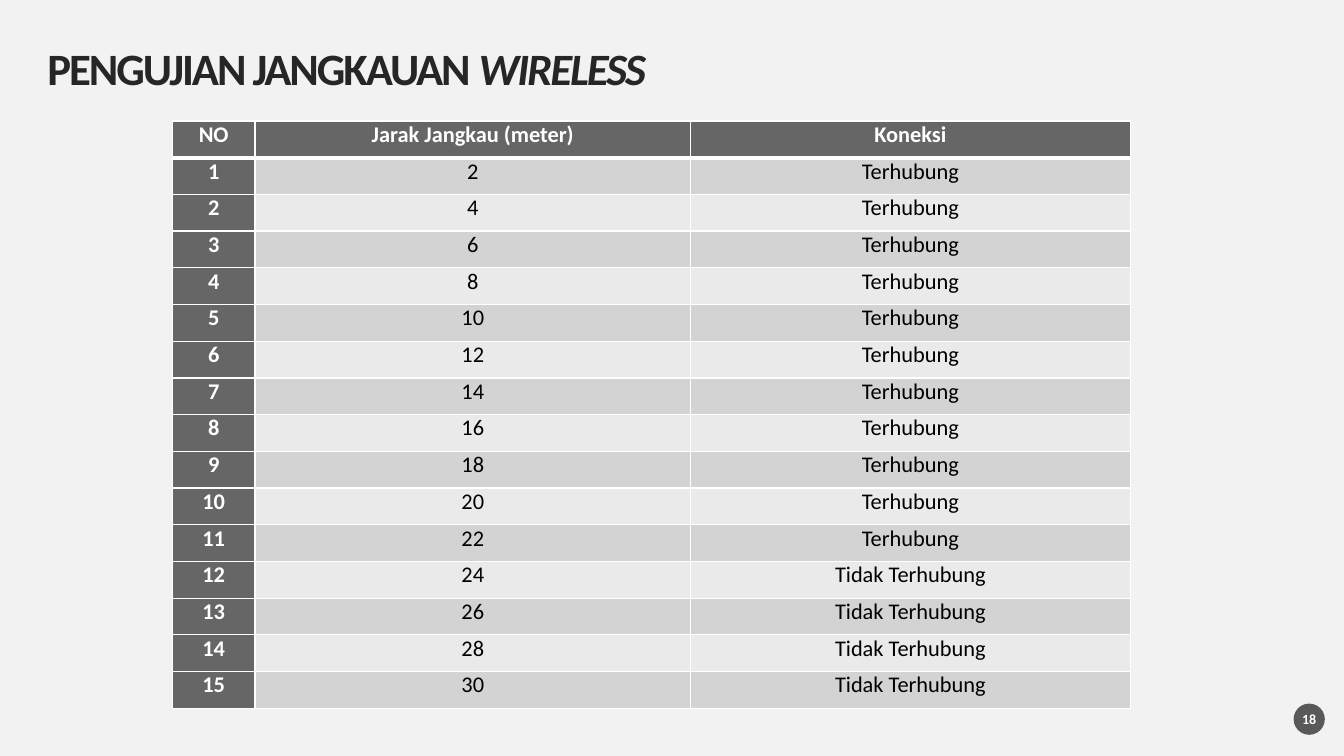
from lxml import etree
from pptx import Presentation
from pptx import util as u
from pptx.dml.color import RGBColor
from pptx.enum import shapes, text
from pptx.oxml import ns

COLORS = {
    "background": "F2F2F2",
    "title": "262626",
    "badge": "595959",
    "header": "666666",
    "odd_row": "D3D3D3",
    "even_row": "EAEAEA",
    "white": "FFFFFF",
    "black": "000000",
}
TEST_COUNT = 15
LAST_CONNECTED = 11


class SlideBuilder:
    PX = 9144
    FONT = "Calibri"

    def __init__(self, presentation, width, height):
        presentation.slide_width = self.px(width)
        presentation.slide_height = self.px(height)
        self.slide = presentation.slides.add_slide(presentation.slide_layouts[5])
        self.paint(self.slide.background.fill, "background")

    def px(self, length):
        return u.Emu(round(length * self.PX))

    def paint(self, fill, color):
        fill.solid()
        fill.fore_color.rgb = RGBColor.from_string(COLORS[color])

    def style_run(self, run, size, color, bold=True):
        run.font.name = self.FONT
        run.font.size = u.Pt(size)
        run.font.bold = bold
        run.font.color.rgb = RGBColor.from_string(COLORS[color])

    def set_frame(self, frame):
        frame.margin_left = frame.margin_right = 0
        frame.margin_top = frame.margin_bottom = 0
        frame.vertical_anchor = text.MSO_ANCHOR.MIDDLE
        frame.auto_size = text.MSO_AUTO_SIZE.NONE
        frame.word_wrap = True

    def title(self, plain, emphasis, left, top, width, height):
        shape = self.slide.shapes.title
        shape.left, shape.top = self.px(left), self.px(top)
        shape.width, shape.height = self.px(width), self.px(height)
        self.set_frame(shape.text_frame)
        paragraph = shape.text_frame.paragraphs[0]
        paragraph.alignment = text.PP_ALIGN.LEFT
        paragraph.line_spacing = 0.9
        for words, italic in ((plain, False), (emphasis, True)):
            run = paragraph.add_run()
            run.text = words
            self.style_run(run, 32, "title")
            run.font.italic = italic
            run.font._element.set("spc", "-150")

    def badge(self, label, left, top, size):
        shape = self.slide.shapes.add_shape(
            shapes.MSO_SHAPE.OVAL,
            self.px(left), self.px(top), self.px(size), self.px(size))
        shape.shadow.inherit = False
        self.paint(shape.fill, "badge")
        shape.line.fill.background()
        self.set_frame(shape.text_frame)
        shape.text_frame.text = label
        paragraph = shape.text_frame.paragraphs[0]
        paragraph.alignment = text.PP_ALIGN.CENTER
        self.style_run(paragraph.runs[0], 10, "white")

    def borders(self, cell, row):
        properties = cell._tc.get_or_add_tcPr()
        widths = {
            "lnL": 1,
            "lnR": 1,
            "lnT": 3 if row == 1 else 1,
            "lnB": 3 if row == 0 else 1,
        }
        for side, width in widths.items():
            line = etree.SubElement(
                properties, ns.qn(f"a:{side}"), w=str(u.Pt(width)))
            fill = etree.SubElement(line, ns.qn("a:solidFill"))
            etree.SubElement(fill, ns.qn("a:srgbClr"), val=COLORS["white"])

    def cell(self, cell, words, row, column):
        heading = row == 0 or column == 0
        self.borders(cell, row)
        band = "odd_row" if row % 2 else "even_row"
        self.paint(cell.fill, "header" if heading else band)
        cell.margin_left = cell.margin_right = self.px(7)
        cell.margin_top = cell.margin_bottom = 0
        cell.text_frame.text = words
        paragraph = cell.text_frame.paragraphs[0]
        paragraph.alignment = text.PP_ALIGN.CENTER
        self.style_run(
            paragraph.runs[0], 16, "white" if heading else "black", heading)

    def table(self, rows, column_widths, left, top, height):
        table = self.slide.shapes.add_table(
            len(rows), len(column_widths), self.px(left), self.px(top),
            self.px(sum(column_widths)), self.px(height)).table
        for column, width in zip(table.columns, column_widths):
            column.width = self.px(width)
        for row_index, values in enumerate(rows):
            table.rows[row_index].height = self.px(height / len(rows))
            for column_index, words in enumerate(values):
                self.cell(table.cell(row_index, column_index), words,
                          row_index, column_index)


def main():
    presentation = Presentation()
    builder = SlideBuilder(presentation, 1333, 750)
    builder.title("PENGUJIAN JANGKAUAN", " WIRELESS", 47, 47, 1239, 47)
    builder.badge("18", 1283, 698, 31)
    rows = [("NO", "Jarak Jangkau (meter)", "Koneksi")]
    for number in range(1, TEST_COUNT + 1):
        connected = number <= LAST_CONNECTED
        rows.append((str(number), str(2 * number),
                     "Terhubung" if connected else "Tidak Terhubung"))
    builder.table(rows, (82, 432, 436), 171, 120, 583)
    presentation.save("out.pptx")


if __name__ == "__main__":
    main()
